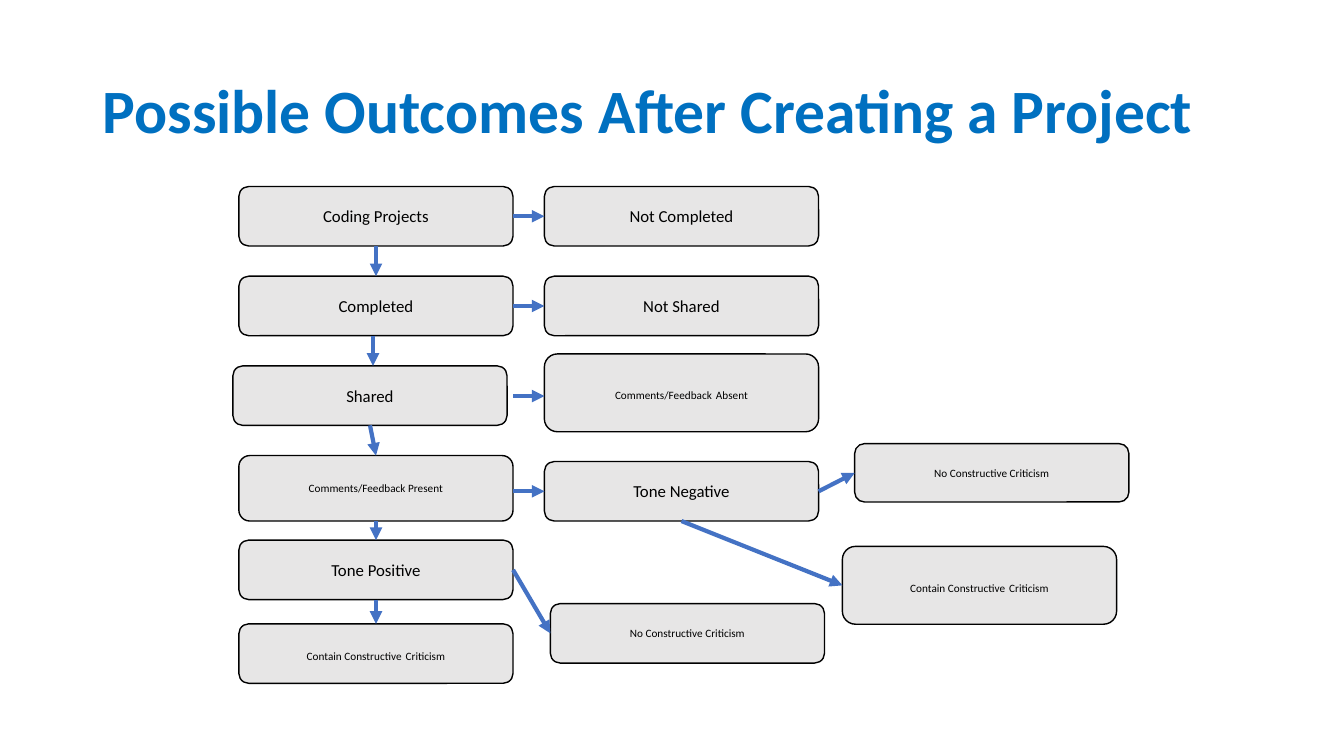
from lxml import etree
from pptx import Presentation
from pptx import util as u
from pptx.dml.color import RGBColor
from pptx.enum import shapes, text
from pptx.oxml.ns import qn

TOP, LEFT, BOTTOM, RIGHT = range(4)
BOX_W, BOX_H = 6.91, 1.5
COL_1, COL_2 = 6.02, 13.72
ROW_TOP, ROW_STEP = 4.7, 2.26
LARGE, SMALL = 12, 8


def color(hex_string):
    return RGBColor.from_string(hex_string)


class FlowSlide:
    font = "Calibri"
    title_color = "0070C0"
    box_fill = "E7E6E6"
    ink = "000000"
    arrow_color = "4472C4"

    def __init__(self, prs):
        self.s = prs.slides.add_slide(prs.slide_layouts[6])

    def format_run(self, r, size, hex_string, bold=False):
        r.font.name = self.font
        r.font.size = u.Pt(size)
        r.font.bold = bold
        r.font.color.rgb = color(hex_string)

    def title(self, words, x, y, w, h):
        sp = self.s.shapes.add_textbox(u.Cm(x), u.Cm(y), u.Cm(w), u.Cm(h))
        tf = sp.text_frame
        tf.word_wrap = True
        tf.vertical_anchor = text.MSO_ANCHOR.MIDDLE
        tf.text = words
        p = tf.paragraphs[0]
        p.line_spacing = 0.9
        self.format_run(p.runs[0], 44, self.title_color, bold=True)

    def box(self, x, y, *runs, h=BOX_H):
        """Add a rounded box; each run is a (words, size) pair."""
        sp = self.s.shapes.add_shape(shapes.MSO_SHAPE.ROUNDED_RECTANGLE,
                                     u.Cm(x), u.Cm(y), u.Cm(BOX_W), u.Cm(h))
        sp.shadow.inherit = False
        sp.fill.solid()
        sp.fill.fore_color.rgb = color(self.box_fill)
        sp.line.color.rgb = color(self.ink)
        sp.line.width = u.Pt(1)
        tf = sp.text_frame
        tf.word_wrap = True
        tf.vertical_anchor = text.MSO_ANCHOR.MIDDLE
        p = tf.paragraphs[0]
        p.alignment = text.PP_ALIGN.CENTER
        for words, size in runs:
            r = p.add_run()
            r.text = words
            self.format_run(r, size, self.ink)
        return sp

    def arrow(self, start, end):
        """Draw an arrow; each end is a (box, side) pair or an (x, y) point in cm."""
        (x1, y1), (x2, y2) = [
            (u.Cm(a), u.Cm(b)) if isinstance(a, (int, float)) else (a.left, a.top)
            for a, b in (start, end)]
        c = self.s.shapes.add_connector(shapes.MSO_CONNECTOR.STRAIGHT, x1, y1, x2, y2)
        for join, (target, side) in ((c.begin_connect, start), (c.end_connect, end)):
            if not isinstance(target, (int, float)):
                join(target, side)
        c.line.color.rgb = color(self.arrow_color)
        c.line.width = u.Pt(3)
        sp_pr = c.element.spPr
        etree.SubElement(sp_pr.find(qn("a:ln")), qn("a:tailEnd"), type="triangle")
        etree.SubElement(sp_pr, qn("a:effectLst"))


def main():
    prs = Presentation()
    prs.slide_width, prs.slide_height = u.Cm(33.87), u.Cm(19.05)
    flow = FlowSlide(prs)
    flow.title("Possible Outcomes After Creating a Project", 2.34, 1.02, 29.21, 3.68)

    row_1, row_2, row_3, row_4 = (ROW_TOP + i * ROW_STEP for i in range(4))
    contain = (("Contain Constructive", SMALL), (" ", LARGE), ("Criticism", SMALL))
    no_criticism = ("No Constructive Criticism", SMALL)

    projects = flow.box(COL_1, row_1, ("Coding Projects", LARGE))
    not_completed = flow.box(COL_2, row_1, ("Not Completed", LARGE))
    completed = flow.box(COL_1, row_2, ("Completed", LARGE))
    not_shared = flow.box(COL_2, row_2, ("Not Shared", LARGE))
    shared = flow.box(5.87, row_3, ("Shared", LARGE))
    flow.box(COL_2, 8.92, ("Comments/Feedback", SMALL), (" ", LARGE),
             ("Absent", SMALL), h=1.96)
    present = flow.box(COL_1, row_4, ("Comments/Feedback Present", SMALL), h=1.65)
    negative = flow.box(COL_2, 11.63, ("Tone Negative", LARGE))
    positive = flow.box(COL_1, 13.61, ("Tone Positive", LARGE))
    negative_without = flow.box(21.54, 11.18, no_criticism, h=1.47)
    negative_with = flow.box(21.23, 13.77, *contain, h=1.96)
    positive_without = flow.box(13.87, 15.21, no_criticism)
    positive_with = flow.box(COL_1, 15.72, *contain)

    col_1_right = COL_1 + BOX_W
    for start, end in (
        ((projects, RIGHT), (not_completed, LEFT)),
        ((completed, RIGHT), (not_shared, LEFT)),
        ((col_1_right, 9.98), (COL_2, 9.98)),
        ((col_1_right, 12.38), (negative, LEFT)),
        ((positive, RIGHT), (positive_without, LEFT)),
        ((negative, RIGHT), (negative_without, LEFT)),
        ((projects, BOTTOM), (completed, TOP)),
        ((9.4, row_2 + BOX_H), (9.4, row_3)),
        ((shared, BOTTOM), (present, TOP)),
        ((present, BOTTOM), (positive, TOP)),
        ((positive, BOTTOM), (positive_with, TOP)),
        ((negative, BOTTOM), (negative_with, LEFT)),
    ):
        flow.arrow(start, end)

    prs.save("out.pptx")


if __name__ == "__main__":
    main()
